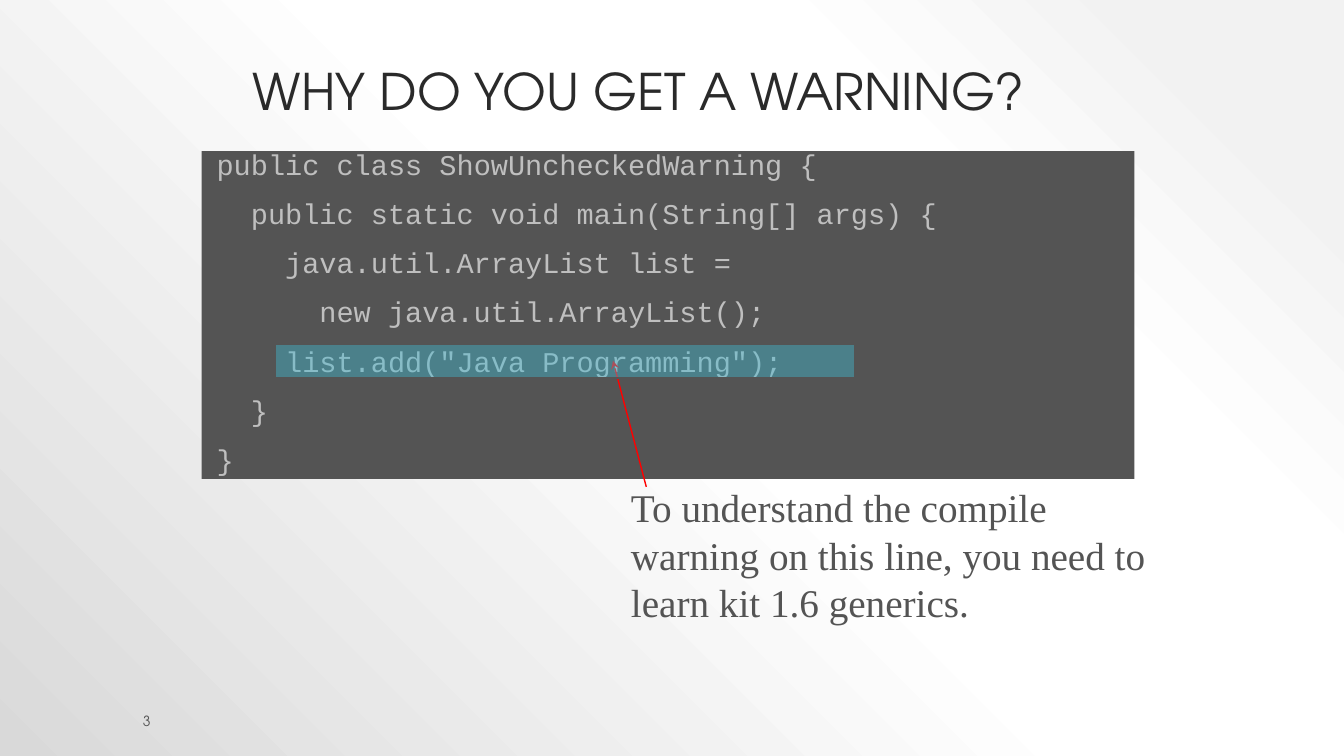
from dataclasses import dataclass
from typing import Optional

from lxml.etree import SubElement
from pptx import Presentation
from pptx.dml.color import RGBColor
from pptx.enum.shapes import MSO_CONNECTOR, MSO_SHAPE
from pptx.enum.text import MSO_ANCHOR
from pptx.oxml import parse_xml
from pptx.oxml.ns import nsdecls, qn
from pptx.util import Inches, Pt


@dataclass(frozen=True)
class Theme:
    """Colours, fonts and type sizes of the slide."""
    ink: str = "2A2A2A"
    grey: str = "545454"
    code: str = "BFBFBF"
    red: str = "FF0000"
    highlight: str = "40BAD2"
    highlight_alpha: int = 43
    backdrop: tuple = ((10, "F2F2F2"), (28, "FFFFFF"), (48, "FFFFFF"), (100, "D9D9D9"))
    sans: str = "TeX Gyre Adventor"
    mono: str = "Courier New"
    serif: str = "Times New Roman"
    title_pt: float = 36
    note_pt: float = 28
    code_pt: float = 20.4
    number_pt: float = 10


@dataclass(frozen=True)
class Box:
    """A frame in inches."""
    x: float
    y: float
    w: float
    h: float

    def emu(self) -> tuple:
        """Return the frame as lengths."""
        return tuple(Inches(v) for v in (self.x, self.y, self.w, self.h))


@dataclass(frozen=True)
class Line:
    """A line of text and its nesting level."""
    text: str
    level: int = 0


T = Theme()
LEVEL_INDENT = 0.34
HANGING = 0.25
CODE = (
    Line("public class ShowUncheckedWarning {"),
    Line("public static void main(String[] args) {", 1),
    Line("java.util.ArrayList list =", 2),
    Line("new java.util.ArrayList();", 3),
    Line('list.add("Java Programming");', 2),
    Line("}", 1),
    Line("}"),
)


def write(sp, lines: tuple, *, font: str, size: float, color: str,
          anchor=MSO_ANCHOR.TOP, spacing: Optional[float] = None,
          before: float = 0, margin: float = 0, hanging: float = 0) -> None:
    """Fill a shape with formatted paragraphs."""
    tf = sp.text_frame
    tf.word_wrap = True
    tf.vertical_anchor = anchor
    for i, line in enumerate(lines):
        p = tf.add_paragraph() if i else tf.paragraphs[0]
        p.line_spacing = spacing
        p.space_before = Pt(before)
        pPr = p._p.get_or_add_pPr()
        pPr.set("algn", "l")
        pPr.set("marL", str(Inches(margin + LEVEL_INDENT * line.level)))
        pPr.set("indent", str(Inches(-hanging)))
        r = p.add_run()
        r.text = line.text
        r.font.name = font
        r.font.size = Pt(size)
        r.font.color.rgb = RGBColor.from_string(color)


def add_text(s, box: Box, text: str, **fmt) -> None:
    """Add a text box with one paragraph."""
    write(s.shapes.add_textbox(*box.emu()), (Line(text),), **fmt)


def add_rect(s, box: Box, fill: str, line: Optional[str] = None,
             alpha: Optional[int] = None):
    """Add a filled rectangle."""
    sp = s.shapes.add_shape(MSO_SHAPE.RECTANGLE, *box.emu())
    sp.shadow.inherit = False
    sp.fill.solid()
    sp.fill.fore_color.rgb = RGBColor.from_string(fill)
    if alpha is not None:
        clr = sp.fill._xPr.find(qn("a:solidFill"))[0]
        SubElement(clr, qn("a:alpha")).set("val", str(alpha * 1000))
    if line:
        sp.line.color.rgb = RGBColor.from_string(line)
        sp.line.width = Pt(1)
    else:
        sp.line.fill.background()
    return sp


def add_arrow(s, x1: float, y1: float, x2: float, y2: float, color: str) -> None:
    """Add a thin line with a stealth head at its end."""
    cn = s.shapes.add_connector(MSO_CONNECTOR.STRAIGHT,
                                Inches(x1), Inches(y1), Inches(x2), Inches(y2))
    cn.line.color.rgb = RGBColor.from_string(color)
    cn.line.width = Pt(1)
    SubElement(cn.line._get_or_add_ln(), qn("a:tailEnd")).set("type", "stealth")
    SubElement(cn._element.spPr, qn("a:effectLst"))


def paint_background(s) -> None:
    """Give the slide a circular gradient from the top right corner."""
    fill = s.background.fill
    fill.gradient()
    stops = "".join(f'<a:gs pos="{pos * 1000}"><a:srgbClr val="{c}"/></a:gs>'
                    for pos, c in T.backdrop)
    grad = parse_xml(
        f'<a:gradFill {nsdecls("a")} rotWithShape="1"><a:gsLst>{stops}</a:gsLst>'
        '<a:path path="circle"><a:fillToRect l="100000" b="100000"/></a:path>'
        '</a:gradFill>')
    old = fill._xPr.find(qn("a:gradFill"))
    fill._xPr.replace(old, grad)


def main() -> None:
    """Build the slide and save it."""
    prs = Presentation()
    prs.slide_width, prs.slide_height = Inches(13.33), Inches(7.5)
    s = prs.slides.add_slide(prs.slide_layouts[6])
    paint_background(s)
    add_text(s, Box(1.32, 7.05, 7.26, 0.2), "3", font=T.sans, size=T.number_pt,
             color=T.grey, anchor=MSO_ANCHOR.MIDDLE)
    add_text(s, Box(2.41, 0.33, 8.5, 0.92), "WHY DO YOU GET A WARNING?",
             font=T.sans, size=T.title_pt, color=T.ink,
             anchor=MSO_ANCHOR.BOTTOM, spacing=0.9)
    write(add_rect(s, Box(2, 1.5, 9.25, 3.25), T.grey), CODE, font=T.mono,
          size=T.code_pt, color=T.code, spacing=0.7, before=18,
          margin=0.05 + HANGING, hanging=HANGING)
    add_text(s, Box(6.16, 4.75, 5.33, 1.75),
             "To understand the compile warning on this line, "
             "you need to learn kit 1.6 generics.",
             font=T.serif, size=T.note_pt, color=T.grey, before=T.note_pt * 0.2)
    add_arrow(s, 6.41, 4.83, 6.08, 3.58, T.red)
    add_rect(s, Box(2.73, 3.42, 5.75, 0.33), T.highlight, T.grey, T.highlight_alpha)
    prs.save("out.pptx")


if __name__ == "__main__":
    main()
